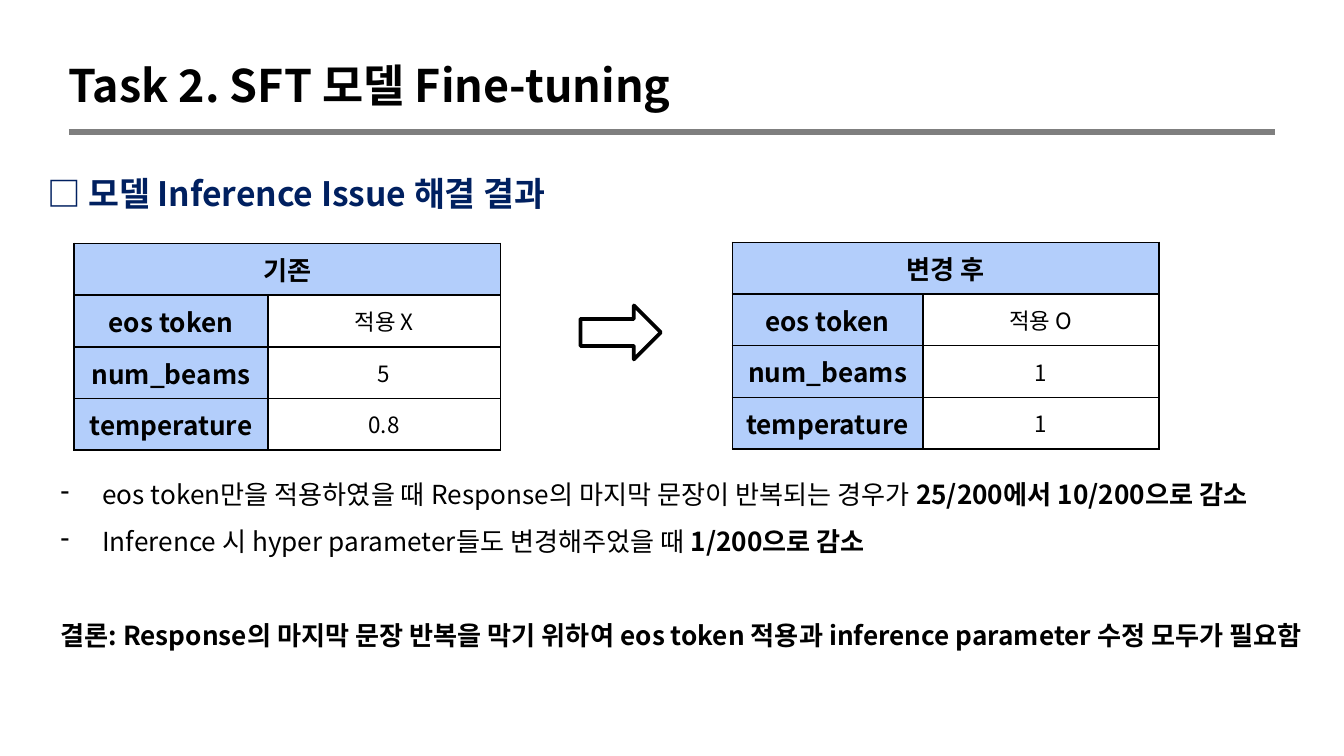
from lxml import etree
from pptx import Presentation
from pptx.dml.color import RGBColor
from pptx.enum import shapes, text
from pptx.oxml import ns
from pptx.util import Cm, Pt

FONT = "Noto Sans CJK KR"
BLACK = RGBColor(0x00, 0x00, 0x00)
NAVY = RGBColor(0x00, 0x20, 0x60)
GRAY = RGBColor(0x7F, 0x7F, 0x7F)
LIGHT_BLUE = RGBColor(0xB3, 0xCE, 0xFB)


def style(paragraph, size, color=BLACK, bold=False, spacing=None, align=text.PP_ALIGN.LEFT):
    paragraph.alignment = align
    paragraph.line_spacing = spacing
    paragraph.space_before = Pt(0)
    font = paragraph.font
    font.size, font.bold, font.name = Pt(size), bold, FONT
    font.color.rgb = color
    defaults = paragraph._p.pPr.find(ns.qn("a:defRPr"))
    etree.SubElement(defaults, ns.qn("a:ea"), typeface=FONT)


def add_borders(cell):
    properties = cell._tc.get_or_add_tcPr()
    for position, side in enumerate(("a:lnL", "a:lnR", "a:lnT", "a:lnB")):
        line = etree.Element(ns.qn(side), w=str(Pt(1)))
        fill = etree.SubElement(line, ns.qn("a:solidFill"))
        etree.SubElement(fill, ns.qn("a:srgbClr"), val=str(BLACK))
        properties.insert(position, line)


prs = Presentation()
prs.slide_width, prs.slide_height = Cm(25.4), Cm(14.28)
slide = prs.slides.add_slide(prs.slide_layouts[1])

# Title, rule and heading
title = slide.shapes.title
heading = slide.shapes.add_textbox(Cm(0.64), Cm(2.64), Cm(24.49), Cm(1.68))
title.left, title.top, title.width, title.height = Cm(1.04), Cm(0.53), Cm(16.81), Cm(1.85)
for box, words, size, color, spacing in (
    (title, "Task 2. SFT 모델 Fine-tuning", 24, BLACK, 1.3),
    (heading, "□ 모델 Inference Issue 해결 결과", 18, NAVY, 1.5),
):
    frame = box.text_frame
    frame.text = words
    frame.word_wrap = True
    frame.auto_size = text.MSO_AUTO_SIZE.NONE
    frame.vertical_anchor = text.MSO_ANCHOR.TOP
    frame.margin_left = frame.margin_right = Cm(0.25)
    frame.margin_top = frame.margin_bottom = Cm(0.25)
    style(frame.paragraphs[0], size, color, True, spacing)

rule = slide.shapes.add_connector(
    shapes.MSO_CONNECTOR.STRAIGHT, Cm(1.3), Cm(2.49), Cm(24.1), Cm(2.49))
rule.line.color.rgb = GRAY
rule.line.width = Pt(3)
etree.SubElement(rule._element.spPr, ns.qn("a:effectLst"))

# Settings before and after the change
SETTINGS = ("eos token", "num_beams", "temperature")
for header, values, left, top, widths in (
    ("기존", ("적용 X", "5", "0.8"), 1.4, 4.6, (3.66, 4.4)),
    ("변경 후", ("적용 O", "1", "1"), 13.84, 4.58, (3.6, 4.46)),
):
    settings = slide.shapes.add_table(
        4, 2, Cm(left), Cm(top), Cm(sum(widths)), Cm(3.4)).table
    for column, width in zip(settings.columns, widths):
        column.width = Cm(width)
    settings.cell(0, 0).merge(settings.cell(0, 1))
    for r, row in enumerate([(header, ""), *zip(SETTINGS, values)]):
        settings.rows[r].height = Cm(0.85)
        for c, words in enumerate(row):
            cell = settings.cell(r, c)
            is_label = r == 0 or c == 0
            if is_label:
                cell.fill.solid()
                cell.fill.fore_color.rgb = LIGHT_BLUE
            else:
                cell.fill.background()
            add_borders(cell)
            cell.vertical_anchor = text.MSO_ANCHOR.MIDDLE
            cell.text = words
            style(cell.text_frame.paragraphs[0], 14 if is_label else 12,
                  bold=is_label, align=text.PP_ALIGN.CENTER)

change = slide.shapes.add_shape(
    shapes.MSO_SHAPE.RIGHT_ARROW, Cm(10.97), Cm(5.77), Cm(1.52), Cm(1.02))
change.shadow.inherit = False
change.fill.background()
change.line.color.rgb = BLACK
change.line.width = Pt(2)

# Findings and conclusion: (plain part, bold part)
FINDINGS = (
    ("eos token만을 적용하였을 때 Response의 마지막 문장이 반복되는 경우가 ",
     "25/200에서 10/200으로 감소"),
    ("Inference 시 hyper parameter들도 변경해주었을 때 ", "1/200으로 감소"),
)
CONCLUSION = ("결론: Response의 마지막 문장 반복을 막기 위하여 eos token 적용과 "
              "inference parameter 수정 모두가 필요함")
findings = slide.placeholders[1]
findings.left, findings.top, findings.width, findings.height = (
    Cm(0.89), Cm(8.61), Cm(24.08), Cm(3.73))
frame = findings.text_frame
frame.word_wrap = True
frame.auto_size = text.MSO_AUTO_SIZE.NONE
for i, (plain, strong) in enumerate(FINDINGS):
    finding = frame.paragraphs[0] if i == 0 else frame.add_paragraph()
    finding.add_run().text = plain
    result = finding.add_run()
    result.text = strong
    result.font.bold = True
    properties = finding._p.get_or_add_pPr()
    properties.set("marL", str(Cm(0.79)))
    properties.set("indent", str(-Cm(0.79)))
    etree.SubElement(properties, ns.qn("a:buFontTx"))
    etree.SubElement(properties, ns.qn("a:buChar"), char="-")
    style(finding, 14, spacing=1.5, align=text.PP_ALIGN.JUSTIFY)

conclusion = frame.add_paragraph()
conclusion.text = CONCLUSION
properties = conclusion._p.get_or_add_pPr()
properties.set("marL", "0")
properties.set("indent", "0")
etree.SubElement(properties, ns.qn("a:buNone"))
style(conclusion, 14, bold=True, spacing=1.5, align=text.PP_ALIGN.JUSTIFY)
conclusion.space_before = Pt(25)

prs.save("out.pptx")
